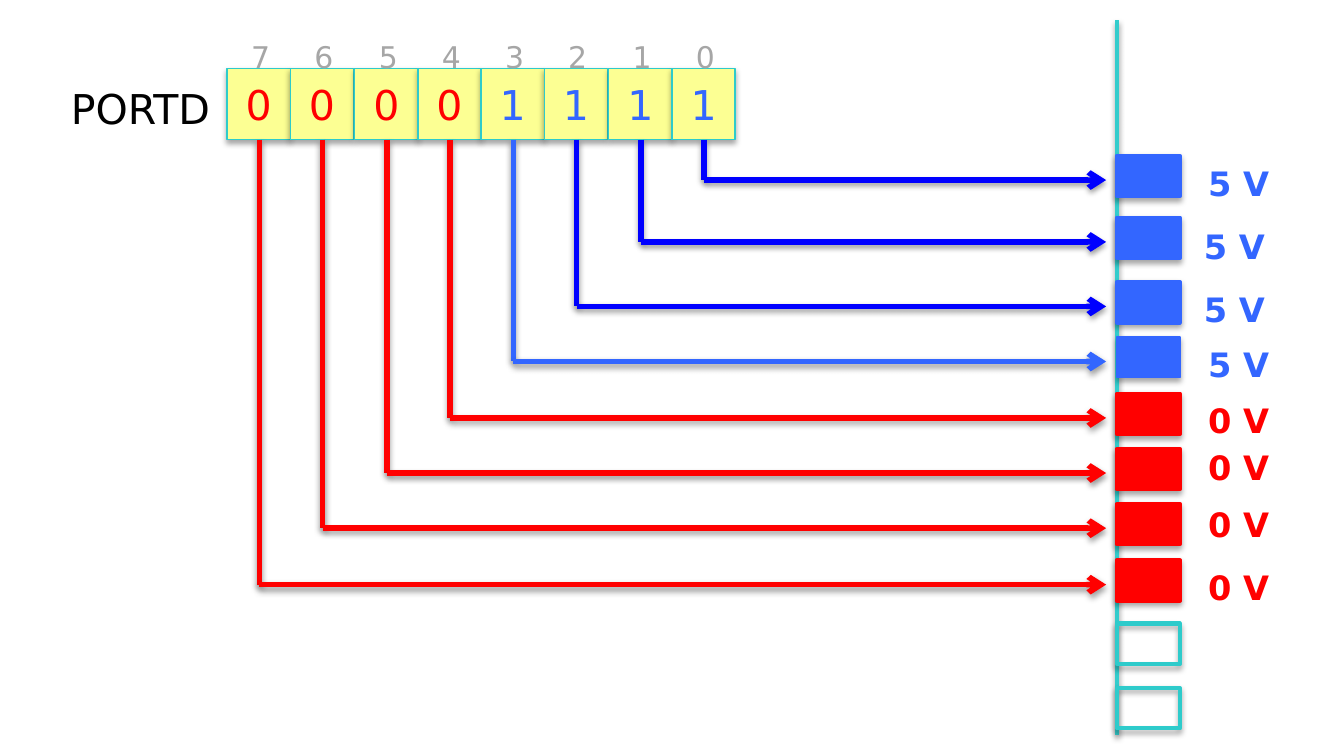
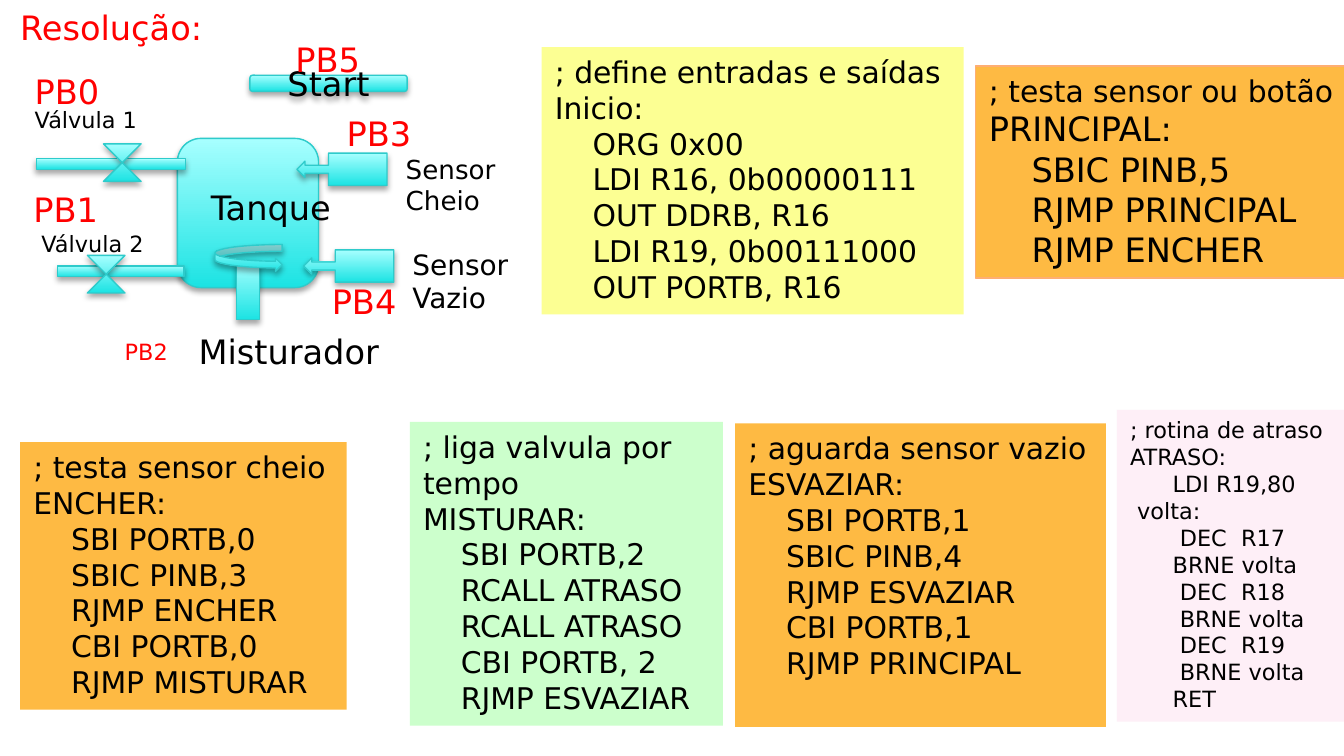
from dataclasses import dataclass

from lxml.etree import SubElement
from pptx import Presentation
from pptx.dml.color import RGBColor
from pptx.enum.shapes import MSO_CONNECTOR, MSO_SHAPE
from pptx.enum.text import MSO_ANCHOR, MSO_AUTO_SIZE, PP_ALIGN
from pptx.oxml.ns import qn
from pptx.util import Emu, Pt

EMU_PER_PX = 9144


@dataclass(frozen=True)
class Theme:
    font: str = "DejaVu Sans"
    black: str = "000000"
    grey: str = "A6A6A6"
    red: str = "FF0000"
    blue: str = "3366FF"
    deep_blue: str = "0000FF"
    teal: str = "2ECBCB"
    spine: str = "33CCCC"
    aqua_dark: str = "1CE3E3"
    aqua_light: str = "A7FFFF"
    yellow: str = "FCFF93"
    orange: str = "FEBA43"
    orange_edge: str = "FEAE73"
    green: str = "CCFFCC"
    pink: str = "FEEFF7"
    bit_size: int = 22
    heading_size: int = 18
    code_size: int = 16
    vazio_size: int = 15
    cheio_size: int = 14
    small_size: int = 12


THEME = Theme()


@dataclass(frozen=True)
class Pin:
    bit: str
    wire_y: int
    wire_color: str
    volt_left: int
    volt_top: int
    edge: float = 2.25

    @property
    def color(self):
        return THEME.blue if self.bit == "1" else THEME.red

    @property
    def volts(self):
        return "5 V" if self.bit == "1" else "0 V"


PINS = [
    Pin("0", 435, THEME.red, 889, 417),
    Pin("0", 393, THEME.red, 889, 370),
    Pin("0", 352, THEME.red, 889, 328),
    Pin("0", 311, THEME.red, 889, 293),
    Pin("1", 269, THEME.blue, 889, 251, 1),
    Pin("1", 228, THEME.deep_blue, 886, 210),
    Pin("1", 180, THEME.deep_blue, 886, 163),
    Pin("1", 134, THEME.deep_blue, 889, 116),
]

DEFINE = """; define entradas e saídas
Inicio:
    ORG 0x00
    LDI R16, 0b00000111
    OUT DDRB, R16
    LDI R19, 0b00111000
    OUT PORTB, R16"""

PRINCIPAL = """; testa sensor ou botão
PRINCIPAL:
    SBIC PINB,5
    RJMP PRINCIPAL
    RJMP ENCHER"""

ENCHER = """; testa sensor cheio
ENCHER:
    SBI PORTB,0
    SBIC PINB,3
    RJMP ENCHER
    CBI PORTB,0
    RJMP MISTURAR"""

MISTURAR = """; liga valvula por tempo
MISTURAR:
    SBI PORTB,2
    RCALL ATRASO
    RCALL ATRASO
    CBI PORTB, 2
    RJMP ESVAZIAR"""

ESVAZIAR = """; aguarda sensor vazio
ESVAZIAR:
    SBI PORTB,1
    SBIC PINB,4
    RJMP ESVAZIAR
    CBI PORTB,1
    RJMP PRINCIPAL"""

ATRASO = """; rotina de atraso
ATRASO:
      LDI R19,80
 volta:
       DEC  R17
      BRNE volta
       DEC  R18
       BRNE volta
       DEC  R19
       BRNE volta
      RET"""


def px(*lengths):
    return [Emu(length * EMU_PER_PX) for length in lengths]


def rgb(color):
    return RGBColor.from_string(color)


def add_run(paragraph, text, size, color, bold=False):
    run = paragraph.add_run()
    run.text = text
    run.font.name = THEME.font
    run.font.size = Pt(size)
    run.font.bold = bold
    run.font.color.rgb = rgb(color)


def add_shadow(part, alpha, distance):
    properties = part._element.spPr
    effects = properties.find(qn("a:effectLst"))
    if effects is None:
        effects = SubElement(properties, qn("a:effectLst"))
    shadow = SubElement(effects, qn("a:outerShdw"), blurRad=str(Pt(3.1)),
                        dist=str(Pt(distance)), dir="5400000", rotWithShape="0")
    black = SubElement(shadow, qn("a:srgbClr"), val=THEME.black)
    SubElement(black, qn("a:alpha"), val=str(alpha * 1000))


def add_block(shapes, kind, box, fill, edge_color, edge=0.75):
    block = shapes.add_shape(kind, *px(*box))
    if fill:
        block.fill.solid()
        block.fill.fore_color.rgb = rgb(fill)
    else:
        block.fill.background()
    block.line.color.rgb = rgb(edge_color)
    block.line.width = Pt(edge)
    block.shadow.inherit = False
    add_shadow(block, 35, 1.8)
    return block


def add_equipment(shapes, kind, *box):
    equipment = add_block(shapes, kind, box, THEME.aqua_dark, THEME.teal)
    equipment.fill.gradient()
    equipment.fill.gradient_angle = 90
    for stop, color in zip(equipment.fill.gradient_stops,
                           (THEME.aqua_dark, THEME.aqua_light)):
        stop.color.rgb = rgb(color)
    return equipment


def add_centered(block, text, size, color):
    frame = block.text_frame
    frame.vertical_anchor = MSO_ANCHOR.MIDDLE
    frame.paragraphs[0].alignment = PP_ALIGN.CENTER
    add_run(frame.paragraphs[0], text, size, color)


def add_label(shapes, text, box, size, color=THEME.black, bold=False, wrap=False):
    frame = shapes.add_textbox(*px(*box)).text_frame
    frame.word_wrap = wrap
    frame.auto_size = MSO_AUTO_SIZE.SHAPE_TO_FIT_TEXT
    add_run(frame.paragraphs[0], text, size, color, bold)


def add_wire(shapes, start, end, color, width=3, arrow=False):
    wire = shapes.add_connector(MSO_CONNECTOR.STRAIGHT, *px(*start, *end))
    wire.line.color.rgb = rgb(color)
    wire.line.width = Pt(width)
    if arrow:
        SubElement(wire.line._get_or_add_ln(), qn("a:tailEnd"), type="arrow")
    add_shadow(wire, 38, 1.6)


def add_code(shapes, code, box, fill, size=THEME.code_size, body_size=None, edge=None):
    listing = shapes.add_textbox(*px(*box))
    listing.fill.solid()
    listing.fill.fore_color.rgb = rgb(fill)
    if edge:
        listing.line.color.rgb = rgb(edge)
        listing.line.width = Pt(0.75)
    frame = listing.text_frame
    frame.word_wrap = True
    for number, line in enumerate(code.splitlines()):
        paragraph = frame.add_paragraph() if number else frame.paragraphs[0]
        add_run(paragraph, line, body_size if number and body_size else size, THEME.black)


def set_title(slide, text, box):
    title = slide.shapes.title
    title.left, title.top, title.width, title.height = px(*box)
    frame = title.text_frame
    frame.word_wrap = False
    frame.auto_size = MSO_AUTO_SIZE.SHAPE_TO_FIT_TEXT
    frame.vertical_anchor = MSO_ANCHOR.TOP
    frame.paragraphs[0].alignment = PP_ALIGN.LEFT
    add_run(frame.paragraphs[0], text, THEME.heading_size, THEME.red)


def build_port(deck):
    shapes = deck.slides.add_slide(deck.slide_layouts[6]).shapes
    register_left, register_right, bit_top, bit_width, bit_height = 169, 500, 51, 47, 53
    spine_x, arrow_x, pin_height = 831, 823, 30
    pitch = (register_right - register_left) / (len(PINS) - 1)
    bit_lefts = [round(register_left + pitch * index) for index in range(len(PINS))]

    add_label(shapes, "PORTD", (43, 57, 126, 47), THEME.bit_size)
    for index, (pin, left) in enumerate(zip(PINS, bit_lefts)):
        bit = add_block(shapes, MSO_SHAPE.RECTANGLE, (left, bit_top, bit_width, bit_height),
                        THEME.yellow, THEME.teal)
        add_centered(bit, pin.bit, THEME.bit_size, pin.color)
        add_label(shapes, str(len(PINS) - 1 - index), (left + 8, 24, 34, 37),
                  THEME.code_size, THEME.grey)

    add_wire(shapes, (spine_x, 15), (spine_x, 547), THEME.spine, width=2)
    for pin, left in zip(PINS, bit_lefts):
        wire_x = left + 24
        add_wire(shapes, (wire_x, bit_top + bit_height), (wire_x, pin.wire_y), pin.wire_color)
        add_wire(shapes, (wire_x, pin.wire_y), (arrow_x, pin.wire_y), pin.wire_color, arrow=True)
        add_block(shapes, MSO_SHAPE.RECTANGLE,
                  (spine_x, pin.wire_y - 18, bit_width, pin_height),
                  pin.color, pin.color, pin.edge)
        add_label(shapes, pin.volts, (pin.volt_left, pin.volt_top, 66, 40),
                  THEME.heading_size, pin.color, bold=True)
    for unused_top in (464, 512):
        add_block(shapes, MSO_SHAPE.RECTANGLE, (spine_x, unused_top, bit_width, pin_height),
                  None, THEME.teal, 2.25)


def build_tank(shapes):
    add_equipment(shapes, MSO_SHAPE.ROUNDED_RECTANGLE, 132, 103, 105, 111)
    for pipe, valve in (((27, 118, 111, 8), (77, 107, 28, 28)),
                        ((43, 198, 94, 8), (65, 190, 28, 28))):
        add_equipment(shapes, MSO_SHAPE.RECTANGLE, *pipe)
        add_equipment(shapes, MSO_SHAPE.FLOWCHART_COLLATE, *valve)
    for left, top in ((221, 114), (226, 186)):
        add_equipment(shapes, MSO_SHAPE.LEFT_ARROW_CALLOUT, left, top, 67, 24)
    add_equipment(shapes, MSO_SHAPE.RECTANGLE, 176, 194, 17, 44)
    add_equipment(shapes, MSO_SHAPE.CURVED_RIGHT_ARROW, 160, 182, 50, 20)
    start = add_equipment(shapes, MSO_SHAPE.ROUNDED_RECTANGLE, 186, 56, 117, 12)
    add_centered(start, "Start", THEME.heading_size, THEME.black)

    add_label(shapes, "Válvula 1", (16, 74, 99, 30), THEME.small_size)
    add_label(shapes, "Válvula 2", (21, 166, 99, 30), THEME.small_size)
    add_label(shapes, "Sensor Cheio", (292, 109, 91, 57), THEME.cheio_size, wrap=True)
    add_label(shapes, "Sensor Vazio", (297, 179, 97, 61), THEME.vazio_size, wrap=True)
    add_label(shapes, "Misturador", (138, 241, 155, 40), THEME.heading_size)
    add_label(shapes, "Tanque", (147, 134, 111, 40), THEME.heading_size)
    for port, left, top in (("PB0", 16, 48), ("PB1", 15, 136), ("PB3", 248, 79),
                            ("PB4", 237, 204), ("PB5", 210, 24)):
        add_label(shapes, port, (left, top, 69, 40), THEME.heading_size, THEME.red)
    add_label(shapes, "PB2", (83, 247, 53, 30), THEME.small_size, THEME.red)


def build_solution(deck):
    slide = deck.slides.add_slide(deck.slide_layouts[5])
    set_title(slide, "Resolução:", (5, 0, 159, 40))
    build_tank(slide.shapes.add_group_shape().shapes)
    add_code(slide.shapes, PRINCIPAL, (726, 49, 284, 158), THEME.orange,
             body_size=THEME.heading_size, edge=THEME.orange_edge)
    add_code(slide.shapes, ENCHER, (15, 329, 243, 199), THEME.orange)
    add_code(slide.shapes, MISTURAR, (305, 314, 233, 226), THEME.green)
    add_code(slide.shapes, ESVAZIAR, (547, 315, 276, 226), THEME.orange)
    add_code(slide.shapes, ATRASO, (831, 305, 221, 232), THEME.pink, THEME.small_size)
    add_code(slide.shapes, DEFINE, (403, 35, 314, 199), THEME.yellow)


def main():
    deck = Presentation()
    deck.slide_width = Emu(1000 * EMU_PER_PX)
    deck.slide_height = Emu(deck.slide_width * 9 // 16)
    build_port(deck)
    build_solution(deck)
    deck.save("out.pptx")


if __name__ == "__main__":
    main()
